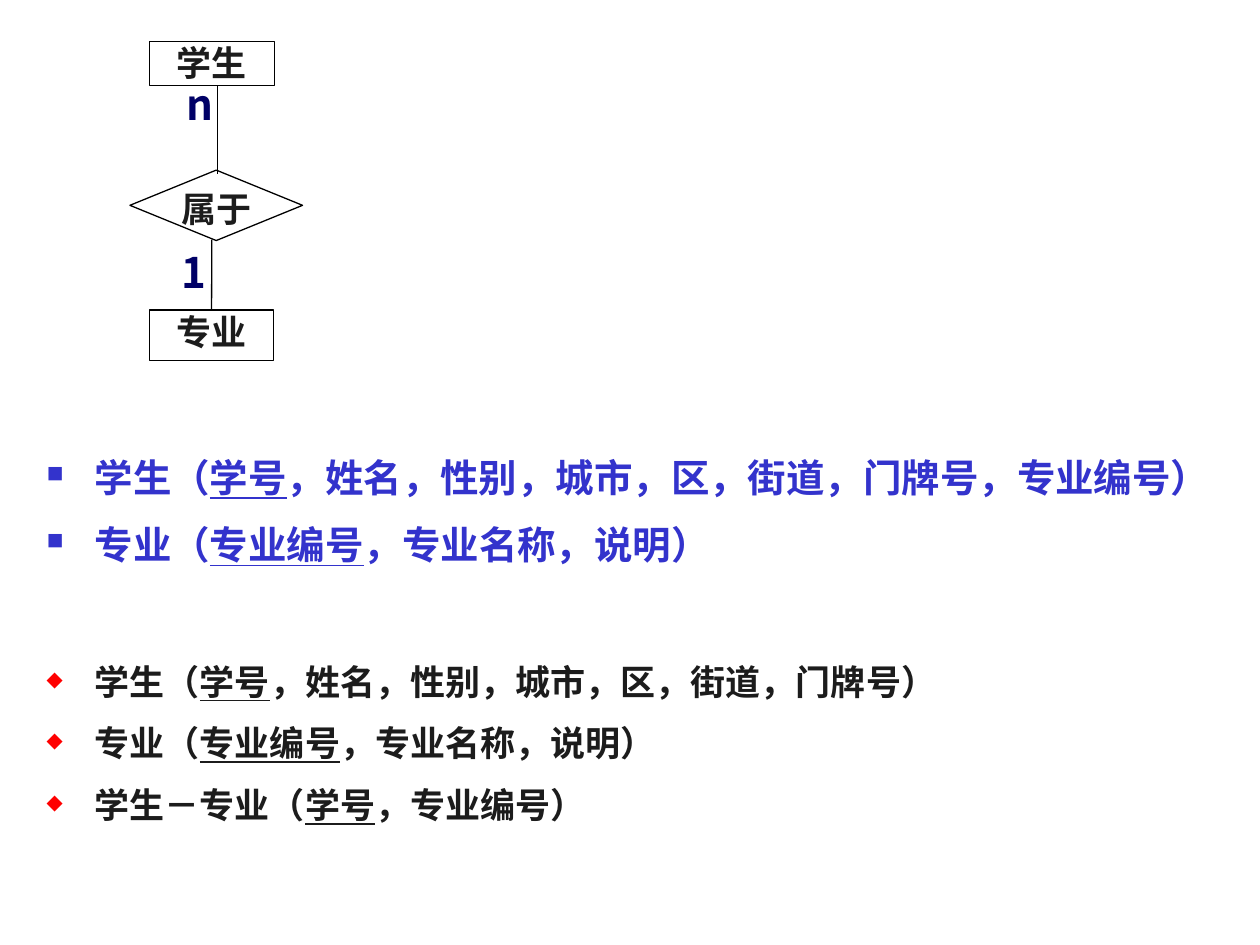
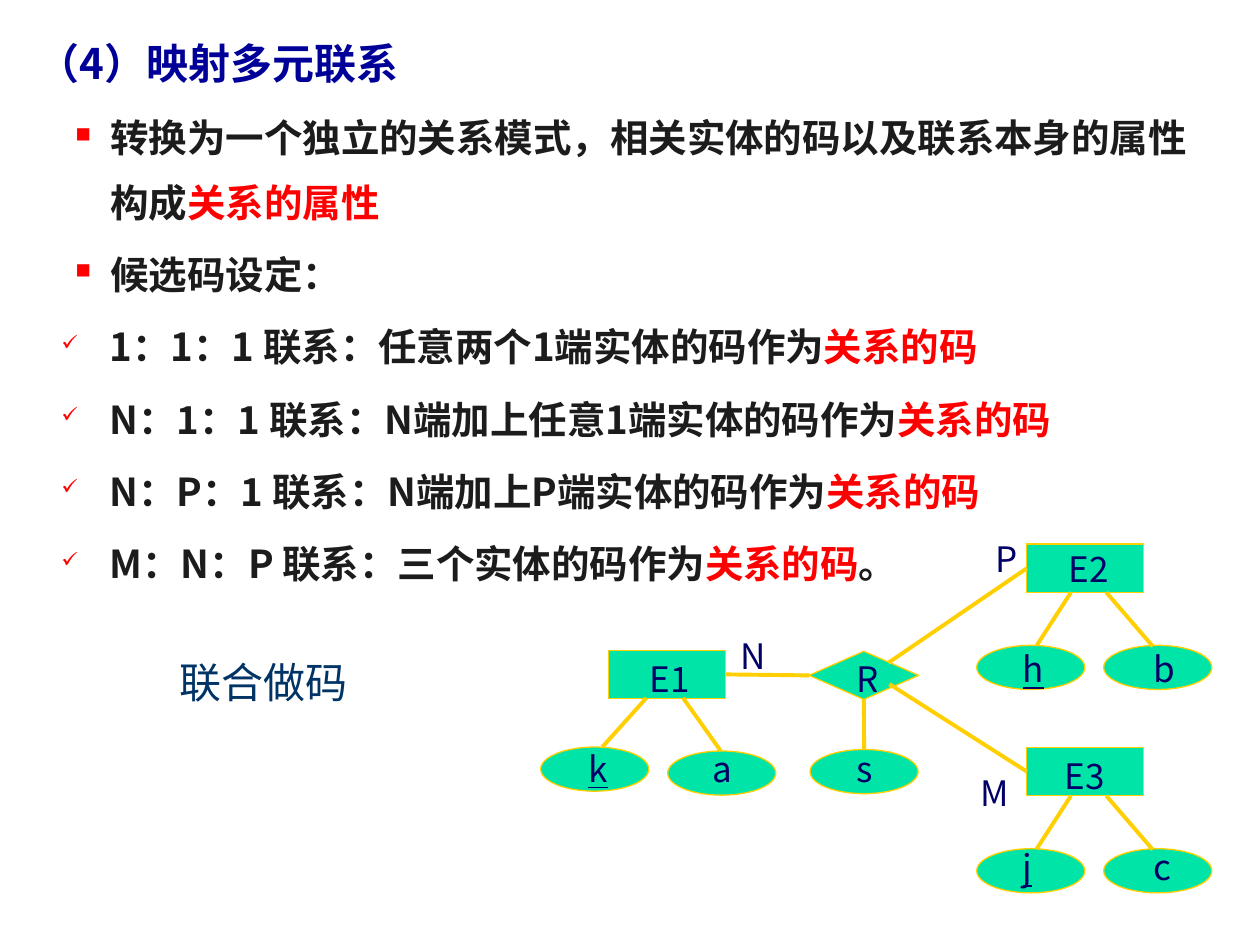
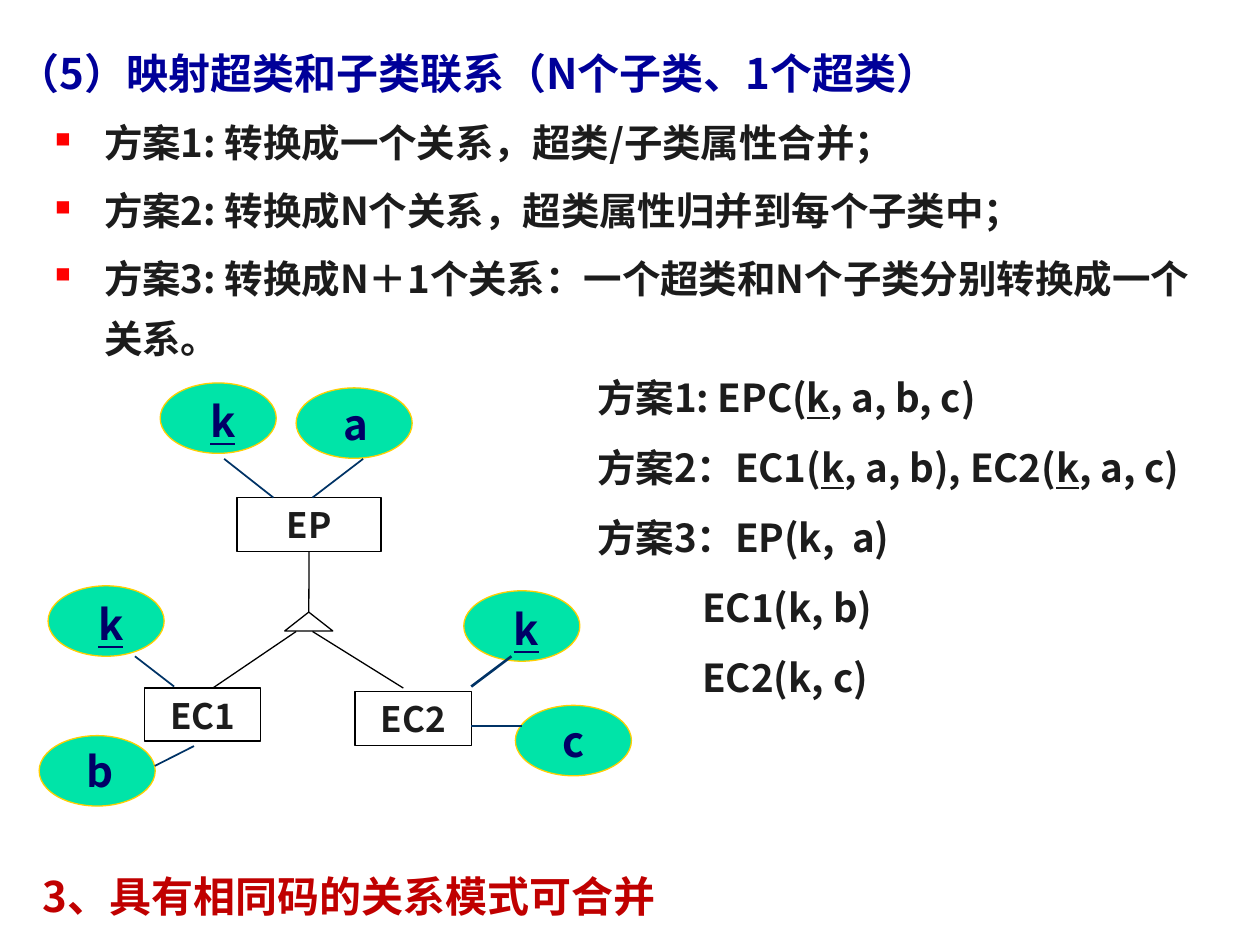
from dataclasses import dataclass
from typing import Optional

from pptx import Presentation
from pptx import util as u
from pptx.dml.color import RGBColor
from pptx.enum import shapes, text
from pptx.oxml import ns, xmlchemy

# Shared fonts and colours
SANS, PLAIN = "Noto Sans CJK SC", "Roboto"
WHITE, BLACK = RGBColor(255, 255, 255), RGBColor(0, 0, 0)
INK = RGBColor(0x1C, 0x1C, 0x1C)
NAVY = RGBColor(0, 0, 0x66)
HEAD = RGBColor(0, 0, 0x99)
BLUE = RGBColor(0x33, 0x33, 0xCC)
STEEL = RGBColor(0, 0x33, 0x66)
RED, WINE = RGBColor(0xFF, 0, 0), RGBColor(0xC0, 0, 0)
MINT, GOLD = RGBColor(0, 0xE4, 0xA8), RGBColor(0xFF, 0xCF, 0x01)

RECT = shapes.MSO_SHAPE.RECTANGLE
OVAL = shapes.MSO_SHAPE.OVAL
RHOMB = shapes.MSO_SHAPE.DIAMOND
WEDGE = shapes.MSO_SHAPE.ISOSCELES_TRIANGLE
TOP, LEFT, BASE, RIGHT = range(4)


# Parts; all lengths in centimetres
@dataclass
class Font:
    size: float
    tint: RGBColor
    bold: bool = True
    face: str = SANS
    under: bool = False


@dataclass
class Node:
    name: str
    kind: int
    x: float
    y: float
    w: float
    h: float
    fill: Optional[RGBColor] = MINT
    line: RGBColor = GOLD
    word: str = ""
    inset: float = 0.13


@dataclass
class Tag:
    word: str
    x: float
    y: float
    w: float
    under: bool = False


@dataclass
class Edge:
    """Each end is a point, or a node's name and side."""
    start: tuple
    end: tuple
    tint: RGBColor
    width: float


@dataclass
class Style:
    font: Font
    mark: Font
    space: float
    before: float = 0
    left: float = 0
    first: float = 0
    sign: str = ""
    tint: RGBColor = RED
    pct: int = 55


def add_run(para, word: str, font: Font) -> None:
    run = para.add_run()
    run.text = word
    f = run.font
    f.size, f.bold, f.name = u.Pt(font.size), font.bold, font.face
    f.color.rgb = font.tint
    if font.under:
        f.underline = True
    east = xmlchemy.OxmlElement("a:ea")
    east.set("typeface", font.face)
    run._r.rPr.find(ns.qn("a:latin")).addnext(east)


def add_sign(para, style: Style) -> None:
    props = para._p.get_or_add_pPr()
    props.set("marL", str(u.Cm(style.left)))
    props.set("indent", str(u.Cm(style.first)))
    if not style.sign:
        return
    color = xmlchemy.OxmlElement("a:buClr")
    shade = xmlchemy.OxmlElement("a:srgbClr")
    shade.set("val", str(style.tint))
    color.append(shade)
    size = xmlchemy.OxmlElement("a:buSzPct")
    size.set("val", str(style.pct * 1000))
    char = xmlchemy.OxmlElement("a:buChar")
    char.set("char", style.sign)
    props.extend([color, size, char])


def write(frame, rows: list[tuple[str, Style]]) -> None:
    """Every second piece between bars takes the marked font."""
    for i, (row, style) in enumerate(rows):
        para = frame.paragraphs[0] if i == 0 else frame.add_paragraph()
        add_sign(para, style)
        para.line_spacing = style.space
        para.space_before = u.Pt(style.before if i else 0)
        for j, piece in enumerate(row.split("|")):
            if piece:
                add_run(para, piece, style.mark if j % 2 else style.font)


def add_box(slide, x: float, y: float, w: float, h: float, wrap: bool = True):
    box = slide.shapes.add_textbox(u.Cm(x), u.Cm(y), u.Cm(w), u.Cm(h))
    box.text_frame.word_wrap = wrap
    return box.text_frame


def add_title(slide, word: str, x: float, y: float, w: float) -> None:
    title = slide.shapes.title
    title.left, title.top = u.Cm(x), u.Cm(y)
    title.width, title.height = u.Cm(w), u.Cm(1.6)
    frame = title.text_frame
    frame.vertical_anchor = text.MSO_ANCHOR.TOP
    frame.auto_size = text.MSO_AUTO_SIZE.NONE
    font = Font(24, HEAD)
    write(frame, [(word, Style(font, font, 1.3))])
    frame.paragraphs[0].alignment = text.PP_ALIGN.LEFT


def add_node(slide, node: Node):
    shape = slide.shapes.add_shape(
        node.kind, u.Cm(node.x), u.Cm(node.y), u.Cm(node.w), u.Cm(node.h))
    shape.shadow.inherit = False
    if node.fill is None:
        shape.fill.background()
    else:
        shape.fill.solid()
        shape.fill.fore_color.rgb = node.fill
    shape.line.color.rgb = node.line
    shape.line.width = u.Pt(0.75)
    if node.word:
        frame = shape.text_frame
        frame.vertical_anchor = text.MSO_ANCHOR.TOP
        frame.margin_left = frame.margin_right = u.Cm(node.inset)
        frame.margin_top = frame.margin_bottom = u.Cm(node.inset)
        frame.paragraphs[0].alignment = text.PP_ALIGN.CENTER
        add_run(frame.paragraphs[0], node.word, Font(20, INK))
    return shape


def add_edge(slide, edge: Edge, made: dict) -> None:
    ends = (edge.start, edge.end)
    spots = [(0, 0) if isinstance(e[0], str) else e for e in ends]
    (x1, y1), (x2, y2) = spots
    line = slide.shapes.add_connector(
        shapes.MSO_CONNECTOR.STRAIGHT, u.Cm(x1), u.Cm(y1), u.Cm(x2), u.Cm(y2))
    for end, join in zip(ends, (line.begin_connect, line.end_connect)):
        if isinstance(end[0], str):
            join(made[end[0]], end[1])
    line.line.color.rgb = edge.tint
    line.line.width = u.Pt(edge.width)
    line._element.spPr.append(xmlchemy.OxmlElement("a:effectLst"))


def add_graph(slide, nodes: list[Node], edges: list[Edge], tags: list[Tag],
              size: float, bold: bool) -> None:
    made = {node.name: add_node(slide, node) for node in nodes}
    for edge in edges:
        add_edge(slide, edge, made)
    for tag in tags:
        frame = add_box(slide, tag.x, tag.y, tag.w, 1.27, wrap=False)
        frame.auto_size = text.MSO_AUTO_SIZE.SHAPE_TO_FIT_TEXT
        add_run(frame.paragraphs[0], tag.word,
                Font(size, NAVY, bold, under=tag.under))


def listing(size: float, tint: RGBColor, sign: str, dot: RGBColor) -> Style:
    return Style(Font(size, tint), Font(size, tint, under=True), 1.3,
                 size / 5, 0.97, -0.97, sign, dot, 60)


def box_node(word: str, x: float, y: float, w: float, h: float,
             kind: int = RECT, inset: float = 0.13) -> Node:
    return Node(word, kind, x, y, w, h, WHITE, BLACK, word, inset)


# Slide 1: one-to-many relationship and its schemas
def draw_many(slide) -> None:
    nodes = [
        box_node("专业", 3.02, 6.25, 2.49, 1.02, inset=0),
        box_node("属于", 2.62, 3.43, 3.48, 1.42, RHOMB, 0),
        box_node("学生", 3.02, 0.84, 2.51, 0.89, inset=0),
    ]
    edges = [Edge((4.27, 4.83), ("专业", TOP), BLACK, 0.75),
             Edge((4.39, 1.73), (4.39, 3.51), BLACK, 0.75)]
    tags = [Tag("1", 3.4, 4.85, 1.04), Tag("n", 3.51, 1.45, 1.07)]
    add_graph(slide, nodes, edges, tags, 24, True)

    blue = listing(22, BLUE, "■", BLUE)
    write(add_box(slide, 0.69, 8.74, 24.7, 3), [
        ("学生（|学号|，姓名，性别，城市，区，街道，门牌号，专业编号）", blue),
        ("专业（|专业编号|，专业名称，说明）", blue),
    ])
    dark = listing(20, INK, "◆", RED)
    write(add_box(slide, 0.69, 12.93, 24.7, 4.6), [
        ("学生（|学号|，姓名，性别，城市，区，街道，门牌号）", dark),
        ("专业（|专业编号|，专业名称，说明）", dark),
        ("学生－专业（|学号|，专业编号）", dark),
    ])


# Slide 2: relationship among three entities
def draw_multi(slide) -> None:
    add_title(slide, "（4）映射多元联系", 0.51, 0.33, 24)
    ink, red = Font(22, INK), Font(22, RED)
    main = Style(ink, red, 1.4, 4.4, 1.47, -0.71, "■")
    tick = Style(ink, red, 1.4, 4.4, 1.45, -0.97, "✓")
    write(add_box(slide, 0.51, 1.8, 24, 10.49), [
        ("转换为一个独立的关系模式，相关实体的码以及联系本身的属性构成"
         "|关系的属性", main),
        ("候选码设定：", main),
        ("1：1：1 联系：任意两个1端实体的码作为|关系的码", tick),
        ("N：1：1 联系：N端加上任意1端实体的码作为|关系的码", tick),
        ("N：P：1 联系：N端加上P端实体的码作为|关系的码", tick),
        ("M：N：P 联系：三个实体的码作为|关系的码|。", tick),
    ])

    wide, tall, leaf = 2.36, 0.97, (2.18, 0.89)
    nodes = [
        Node("E1", RECT, 12.27, 13.11, wide, tall),
        Node("R", RHOMB, 16.31, 13.13, 2.21, tall),
        Node("k", OVAL, 10.9, 15.06, *leaf),
        Node("a", OVAL, 13.46, 15.14, *leaf),
        Node("s", OVAL, 16.33, 15.11, *leaf),
    ]
    paths = [
        ((13.03, 14.07), (12.14, 15.06)),
        ((13.77, 14.07), (14.53, 15.14)),
        (("R", LEFT), ("E1", RIGHT)),
        (("E2", LEFT), (17.91, 13.36)),
        (("E3", LEFT), (17.93, 13.79)),
        (("R", BASE), ("s", TOP)),
    ]
    # The two right-hand entities share one layout
    for i, (name, one, two) in enumerate([("E2", "h", "b"), ("E3", "j", "c")]):
        y = 10.97 + 4.1 * i
        nodes += [Node(name, RECT, 20.7, y, wide, tall),
                  Node(one, OVAL, 19.69, y + 2.04, *leaf),
                  Node(two, OVAL, 22.25, y + 2.04, *leaf)]
        paths += [((21.59, y + tall), (20.9, y + 2.04)),
                  ((22.3, y + tall), (23.24, y + 2.06))]
    tags = [
        Tag("E1", 12.85, 13.13, 1.85), Tag("k", 11.61, 14.94, 1.24, True),
        Tag("a", 14.12, 14.94, 1.27), Tag("h", 20.37, 12.93, 1.35, True),
        Tag("b", 23.01, 12.93, 1.37), Tag("E2", 21.29, 10.92, 1.88),
        Tag("s", 17.02, 14.94, 1.19), Tag("R", 17.02, 13.13, 1.4),
        Tag("N", 14.68, 12.67, 1.55), Tag("P", 19.81, 10.72, 0.94),
        Tag("j", 20.37, 16.92, 1.02, True), Tag("c", 23.01, 16.92, 1.22),
        Tag("E3", 21.21, 15.09, 1.85), Tag("M", 19.51, 15.42, 1.22),
    ]
    edges = [Edge(a, b, GOLD, 2.25) for a, b in paths]
    add_graph(slide, nodes, edges, tags, 20, False)

    frame = add_box(slide, 1.5, 13.11, 7.62, 1.27)
    frame.paragraphs[0].alignment = text.PP_ALIGN.CENTER
    add_run(frame.paragraphs[0], "联合做码", Font(24, STEEL, False, PLAIN))


# Slide 3: superclass and subclasses
def draw_super(slide) -> None:
    add_title(slide, "（5）映射超类和子类联系（N个子类、1个超类）", 0.1, 0.53, 24.82)
    ink, key = Font(22, INK), Font(22, INK, under=True)
    main = Style(ink, ink, 1.3, 4.4, 1.75, -0.99, "■")
    write(add_box(slide, 0.1, 2, 24.82, 7.92), [
        ("方案1: 转换成一个关系，超类/子类属性合并；", main),
        ("方案2: 转换成N个关系，超类属性归并到每个子类中；", main),
        ("方案3: 转换成N＋1个关系：一个超类和N个子类分别转换成一个关系。", main),
    ])

    nodes = [
        box_node("EP", 4.78, 10.03, 2.9, 1.09),
        box_node("EC1", 2.92, 13.87, 2.34, 1.07),
        box_node("EC2", 7.16, 13.94, 2.34, 1.09),
        Node("isa", WEDGE, 5.74, 12.34, 0.97, 0.38, None, BLACK),
    ]
    tags = []
    for word, x, y in [("k", 3.23, 7.72), ("a", 5.97, 7.82), ("k", 0.97, 11.81),
                       ("k", 9.35, 11.91), ("b", 0.79, 14.83),
                       ("c", 10.39, 14.22)]:
        nodes.append(Node(word, OVAL, x, y, 2.34, 1.42))
        dx, dy = (0.76, 0.13) if word == "k" else (0.71, 0.08)
        tags.append(Tag(word, x + dx, y + dy, 1.02, word == "k"))
    edges = [Edge(a, b, BLACK, 0.75) for a, b in [
        (("EP", BASE), ("isa", TOP)),
        ((5.97, 12.73), (4.29, 13.87)),
        ((6.3, 12.73), (8.13, 13.87)),
    ]]
    edges += [Edge(a, b, STEEL, width) for a, b, width in [
        ((5.51, 10.03), (4.52, 9.25), 1),
        ((6.3, 10.03), (7.32, 9.25), 1),
        ((3.51, 13.84), (2.72, 13.23), 1),
        ((3.91, 15.04), (3.12, 15.44), 1),
        ((9.5, 13.84), (10.31, 13.23), 1.5),
        ((9.5, 14.63), (10.52, 14.63), 1),
    ]]
    add_graph(slide, nodes, edges, tags, 24, True)

    # Schemas of the three plans
    plan = Style(ink, key, 1.1, 11)
    deep = Style(ink, key, 1.1, 11, 2.12)
    write(add_box(slide, 11.79, 7.32, 13.61, 7.24), [
        ("方案1: EPC(|k|, a, b, c)", plan),
        ("方案2：EC1(|k|, a, b), EC2(|k|, a, c)", plan),
        ("方案3：EP(k,  a)", plan),
        ("EC1(k, b)", deep),
        ("EC2(k, c)", deep),
    ])
    wine = Font(24, WINE)
    write(add_box(slide, 0.61, 17.12, 13.26, 1.6, wrap=False),
          [("3、具有相同码的关系模式可合并", Style(wine, wine, 1.3))])


def main() -> None:
    deck = Presentation()
    deck.slide_width, deck.slide_height = u.Cm(25.4), u.Cm(19.05)
    bare, titled = deck.slide_layouts[6], deck.slide_layouts[5]
    for layout, draw in [(bare, draw_many), (titled, draw_multi),
                         (titled, draw_super)]:
        draw(deck.slides.add_slide(layout))
    deck.save("out.pptx")


if __name__ == "__main__":
    main()
